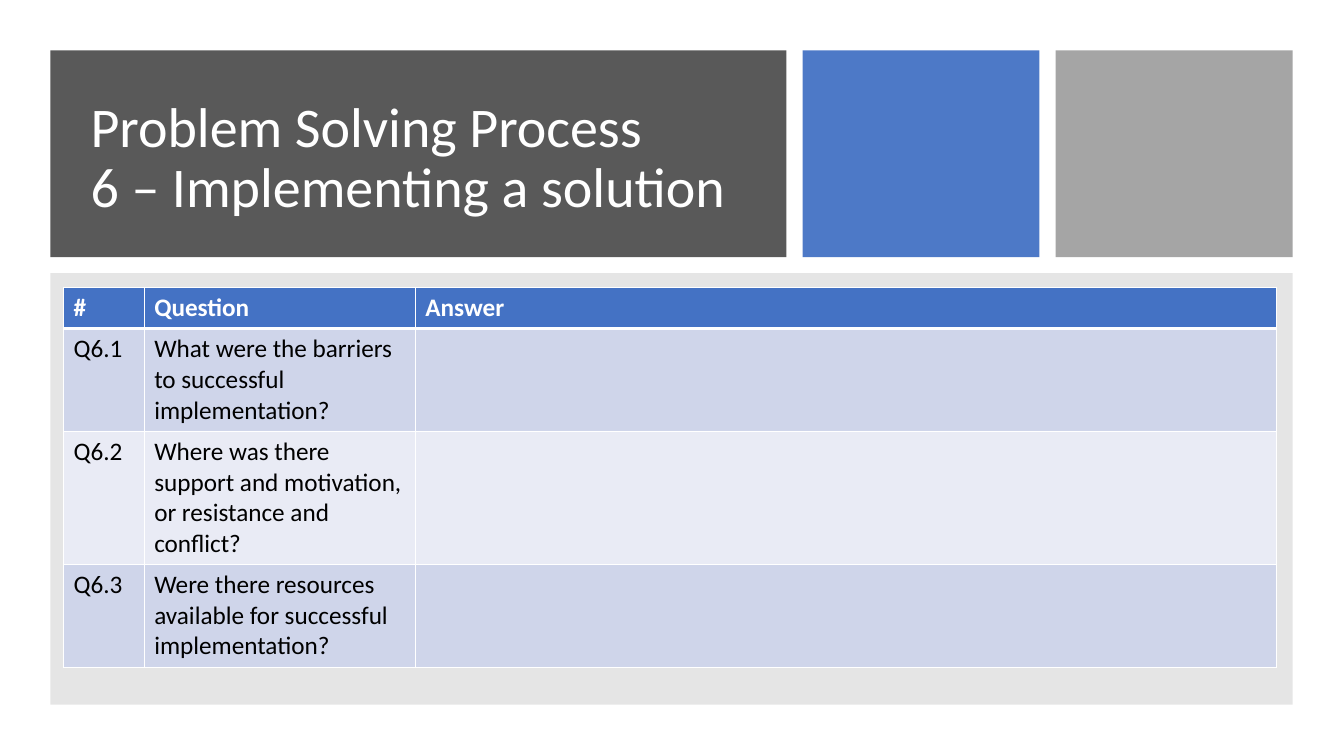
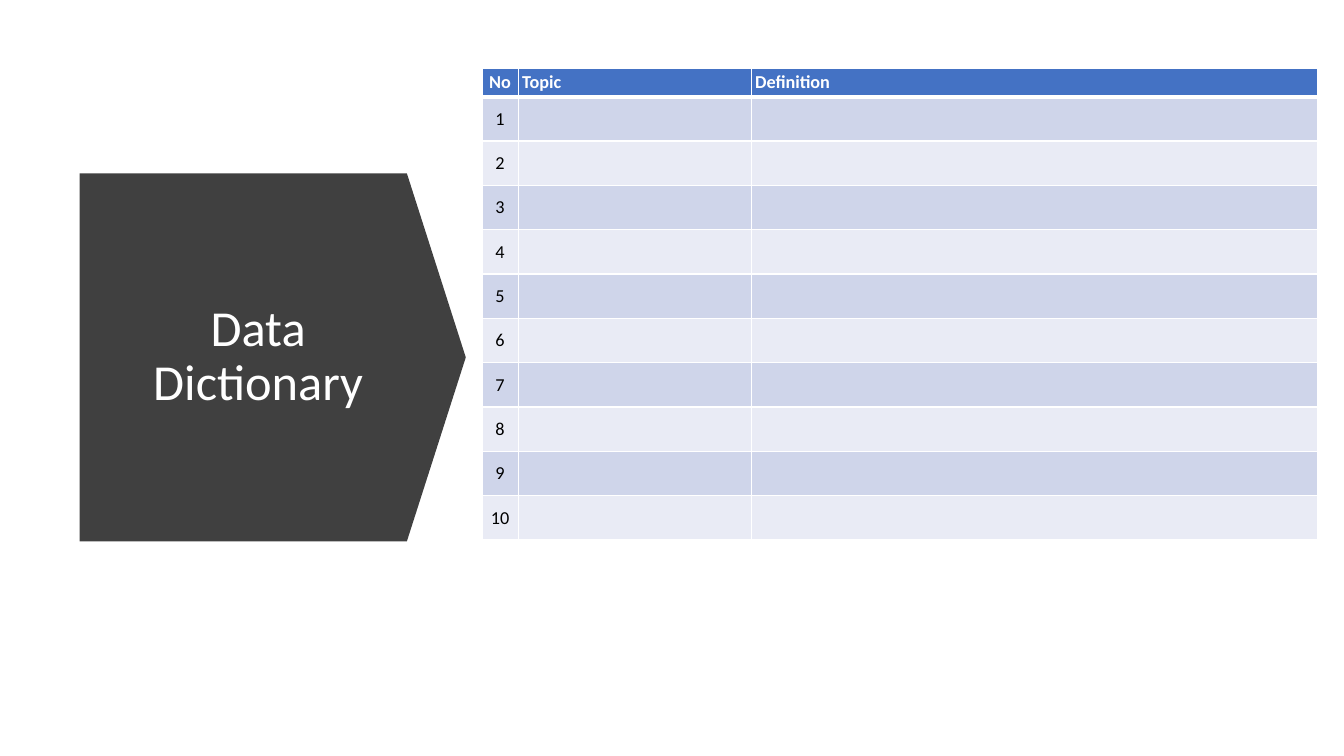
from dataclasses import dataclass

from lxml import etree
from pptx import Presentation
from pptx.dml.color import RGBColor
from pptx.enum.shapes import MSO_SHAPE
from pptx.enum.text import MSO_ANCHOR, PP_ALIGN
from pptx.oxml.ns import qn
from pptx.shapes.autoshape import Shape
from pptx.slide import Slide
from pptx.table import _Cell
from pptx.text.text import TextFrame
from pptx.util import Emu, Pt

RECTANGLE = MSO_SHAPE.RECTANGLE
DOWN_ARROW = MSO_SHAPE.DOWN_ARROW
LEFT, CENTER = PP_ALIGN.LEFT, PP_ALIGN.CENTER
TOP, MIDDLE = MSO_ANCHOR.TOP, MSO_ANCHOR.MIDDLE
EMU_PER_PX = 9144
BLANK_LAYOUT = 6


@dataclass(frozen=True)
class Theme:
    font: str = "Calibri"
    white: str = "FFFFFF"
    black: str = "000000"
    title_band: str = "595959"
    arrow: str = "404040"
    blue: str = "4472C4"
    silver: str = "A5A5A5"
    panel: str = "808080"
    bands: tuple[str, str] = ("CFD5EA", "E9EBF5")
    title_size: int = 40
    arrow_title_size: int = 36
    question_size: int = 18
    dictionary_size: int = 13
    title_spacing: float = 0.9
    border: int = 1
    header_border: int = 3


THEME = Theme()


@dataclass(frozen=True)
class Box:
    left: int
    top: int
    width: int
    height: int

    def emu(self) -> tuple[Emu, Emu, Emu, Emu]:
        return px(self.left), px(self.top), px(self.width), px(self.height)


@dataclass(frozen=True)
class Block:
    box: Box
    color: str
    opacity: int = 100


@dataclass(frozen=True)
class Grid:
    left: int
    top: int
    columns: tuple[int, ...]
    rows: tuple[int, ...]
    cells: list[tuple[str, ...]]
    size: int
    compact: bool = False


HEADER_BLOCKS = (
    Block(Box(50, 50, 730, 205), THEME.title_band),
    Block(Box(796, 50, 235, 205), THEME.blue, 95),
    Block(Box(1047, 50, 235, 205), THEME.silver),
    Block(Box(50, 271, 1232, 428), THEME.panel, 20),
)

QUESTIONS = Grid(
    left=63,
    top=285,
    columns=(80, 269, 854),
    rows=(41, 102, 132, 102),
    cells=[
        ("#", "Question", "Answer"),
        ("Q6.1", "What were the barriers to successful implementation?", ""),
        ("Q6.2", "Where was there support and motivation, or resistance and conflict?", ""),
        ("Q6.3", "Were there resources available for successful implementation?", ""),
    ],
    size=THEME.question_size,
)

DICTIONARY = Grid(
    left=478,
    top=68,
    columns=(36, 231, 562),
    rows=(28,) + (44,) * 10,
    cells=[("No", "Topic", "Definition")] + [(str(number), "", "") for number in range(1, 11)],
    size=THEME.dictionary_size,
    compact=True,
)


def px(length: int) -> Emu:
    return Emu(length * EMU_PER_PX)


def write_text(
    frame: TextFrame,
    text: str,
    *,
    size: int,
    color: str,
    bold: bool = False,
    align: PP_ALIGN = LEFT,
    spacing: float | None = None,
) -> None:
    paragraph = frame.paragraphs[0]
    paragraph.alignment = align
    paragraph.line_spacing = spacing
    for index, line in enumerate(text.splitlines()):
        if index:
            paragraph.add_line_break()
        run = paragraph.add_run()
        run.text = line
        run.font.name = THEME.font
        run.font.size = Pt(size)
        run.font.bold = bold
        run.font.color.rgb = RGBColor.from_string(color)


def add_block(slide: Slide, block: Block, kind: MSO_SHAPE = RECTANGLE) -> Shape:
    shape = slide.shapes.add_shape(kind, *block.box.emu())
    shape.shadow.inherit = False
    shape.line.fill.background()
    shape.fill.solid()
    shape.fill.fore_color.rgb = RGBColor.from_string(block.color)
    if block.opacity < 100:
        color = shape.fill._xPr.find(qn("a:solidFill"))[0]
        etree.SubElement(color, qn("a:alpha"), val=str(block.opacity * 1000))
    return shape


def add_title(slide: Slide, text: str, box: Box, size: int, align: PP_ALIGN = LEFT) -> None:
    frame = slide.shapes.add_textbox(*box.emu()).text_frame
    frame.word_wrap = True
    frame.vertical_anchor = MIDDLE
    write_text(
        frame, text, size=size, color=THEME.white, align=align, spacing=THEME.title_spacing
    )


def set_borders(cell: _Cell, top: int, bottom: int) -> None:
    properties = cell._tc.get_or_add_tcPr()
    widths = {"L": THEME.border, "R": THEME.border, "T": top, "B": bottom}
    for side, width in widths.items():
        line = etree.SubElement(properties, qn(f"a:ln{side}"), w=str(Pt(width)))
        fill = etree.SubElement(line, qn("a:solidFill"))
        etree.SubElement(fill, qn("a:srgbClr"), val=THEME.white)


def format_cell(cell: _Cell, text: str, row: int, column: int, grid: Grid) -> None:
    header = row == 0
    set_borders(
        cell,
        top=THEME.header_border if row == 1 else THEME.border,
        bottom=THEME.header_border if header else THEME.border,
    )
    cell.fill.solid()
    color = THEME.blue if header else THEME.bands[(row - 1) % 2]
    cell.fill.fore_color.rgb = RGBColor.from_string(color)
    if not text:
        return
    numbered = grid.compact and column == 0
    if grid.compact:
        cell.margin_left = px(0 if numbered else 4)
        cell.margin_right = cell.margin_top = cell.margin_bottom = px(0)
    cell.vertical_anchor = MIDDLE if grid.compact else TOP
    write_text(
        cell.text_frame,
        text,
        size=grid.size,
        color=THEME.white if header else THEME.black,
        bold=header,
        align=CENTER if numbered else LEFT,
    )


def add_grid(slide: Slide, grid: Grid) -> None:
    box = Box(grid.left, grid.top, sum(grid.columns), sum(grid.rows))
    table = slide.shapes.add_table(len(grid.rows), len(grid.columns), *box.emu()).table
    for column, width in zip(table.columns, grid.columns):
        column.width = px(width)
    for row, height in zip(table.rows, grid.rows):
        row.height = px(height)
    for row_index, texts in enumerate(grid.cells):
        for column_index, text in enumerate(texts):
            cell = table.cell(row_index, column_index)
            format_cell(cell, text, row_index, column_index, grid)


def build_questions(slide: Slide) -> None:
    for block in HEADER_BLOCKS:
        add_block(slide, block)
    add_title(
        slide,
        "Problem Solving Process\n6 – Implementing a solution",
        Box(80, 80, 700, 156),
        THEME.title_size,
    )
    add_grid(slide, QUESTIONS)


def build_dictionary(slide: Slide) -> None:
    arrow = add_block(slide, Block(Box(88, 163, 365, 383), THEME.arrow), DOWN_ARROW)
    arrow.rotation = 270
    arrow.adjustments[0] = 1
    arrow.adjustments[1] = 0.16
    add_title(
        slide, "Data Dictionary", Box(112, 215, 288, 279), THEME.arrow_title_size, CENTER
    )
    add_grid(slide, DICTIONARY)


def main() -> None:
    presentation = Presentation()
    presentation.slide_width = px(1333)
    presentation.slide_height = px(750)
    for build in (build_questions, build_dictionary):
        build(presentation.slides.add_slide(presentation.slide_layouts[BLANK_LAYOUT]))
    presentation.save("out.pptx")


if __name__ == "__main__":
    main()
